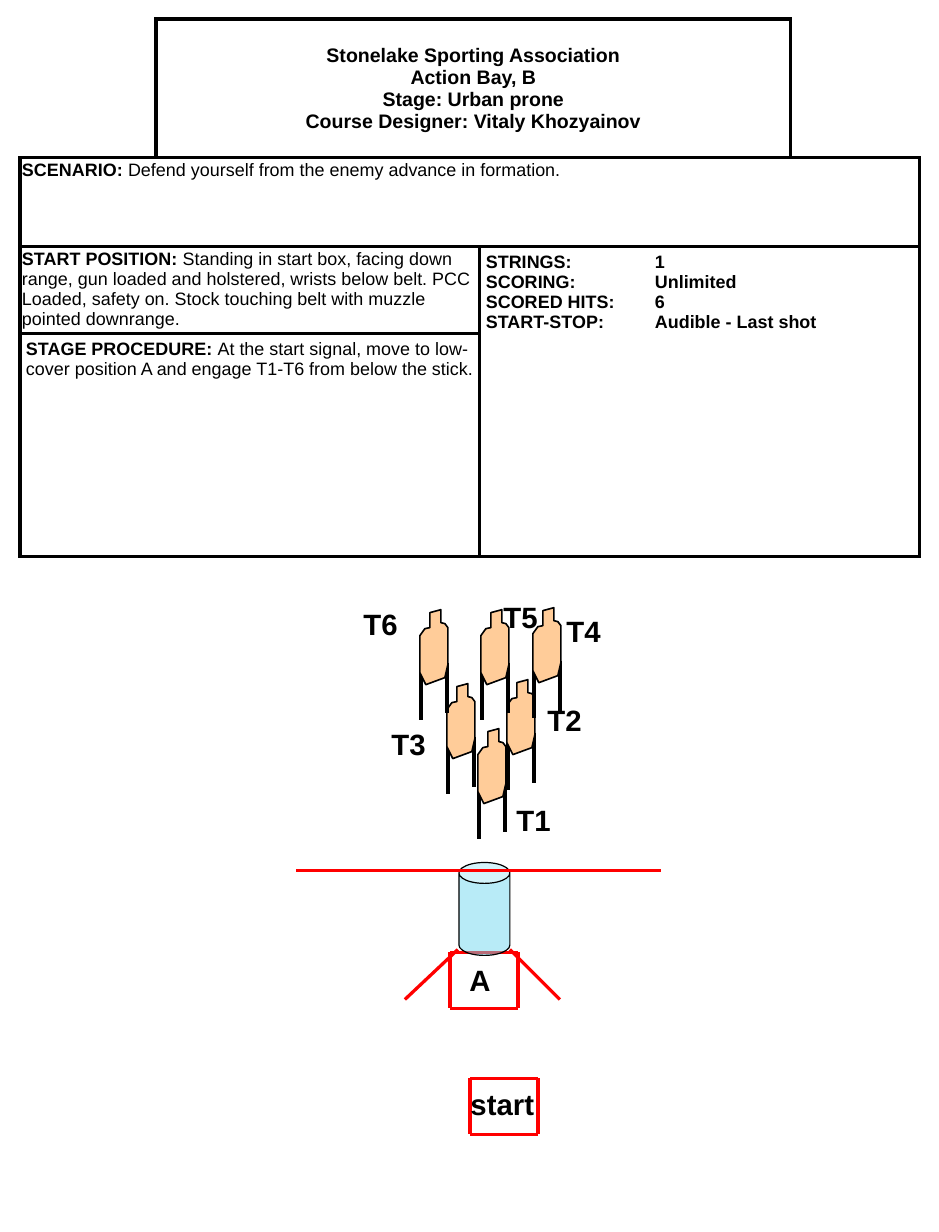
from lxml.etree import SubElement
from pptx import Presentation
from pptx.dml.color import RGBColor
from pptx.enum.shapes import MSO_CONNECTOR as Connector, MSO_SHAPE as Shape
from pptx.enum.text import MSO_ANCHOR as Anchor, PP_ALIGN as Align
from pptx.oxml.ns import qn
from pptx.util import Inches, Pt

PX = 7789  # EMU in one px
FONT = "Arial"
COLORS = {"ink": "000000", "paper": "FFFFFF", "fence": "FF0000",
          "target": "FFCC99", "barrel": "73D9F1"}

# Briefing table: (row, column, rows, columns), side inset, top inset, size, paragraphs
TABLE_AT = (20, 19)
COLUMNS = [136, 324, 311, 129]
ROWS = [139, 89, 87, 223]
HEADER = (0, 1, 1, 2)
CELLS = [
    (HEADER, 6, 6, 12, [[(
        "Stonelake Sporting Association\vAction Bay, B\v"
        "Stage: Urban prone\vCourse Designer: Vitaly Khozyainov", True)]]),
    ((1, 0, 1, 4), 2, 4, 11, [[
        ("SCENARIO: ", True),
        ("Defend yourself from the enemy advance in formation.", False)]]),
    ((2, 0, 1, 2), 2, 3, 11, [[
        ("START POSITION: ", True),
        ("Standing in start box, facing down range, gun loaded and holstered, "
         "wrists below belt. PCC Loaded, safety on. Stock touching belt with "
         "muzzle pointed downrange.", False)]]),
    ((2, 2, 2, 2), 6, 6, 11, [
        [("STRINGS:\t1", True)],
        [("SCORING:\tUnlimited", True)],
        [("SCORED HITS:\t6", True)],
        [("START-STOP:\tAudible - Last shot", True)]]),
    ((3, 0, 1, 2), 6, 6, 11, [[
        ("STAGE PROCEDURE: ", True),
        ("At the start signal, move to low-cover position A and engage T1-T6 "
         "from below the stick.", False)]]),
]
VALUE_TAB = 169

# Stage drawing
LABELS = [("T1", 505, 797), ("T2", 536, 697), ("T3", 380, 721),
          ("T4", 555, 608), ("T5", 492, 594), ("T6", 352, 601)]
TARGETS = [(447, 684), (478, 729), (507, 680), (533, 608), (481, 610), (420, 610)]
OUTLINE = [(10, 3), (21, 0), (21, 13), (25, 14), (28, 18), (28, 55), (25, 68),
           (6, 75), (0, 63), (0, 26), (5, 19), (10, 18)]
LEGS = [(1, 60), (27, 53)]
LEG_LENGTH = 50
# Shooting boxes: left, top, label, label left, label top, label width
BOXES = [(470, 1079, "start", 459, 1081, 101), (450, 953, "A", 458, 957, 48)]
BOX_WIDTH, BOX_HEIGHT = 68, 56
WINGS = [(458, 950, 405, 1000), (560, 1000, 510, 950)]
STICK = (661, 871, 296, 871)
BARREL = (459, 863, 51, 93)


def px(*lengths):
    return [length * PX for length in lengths]


def color(name):
    return RGBColor.from_string(COLORS[name])


def style_font(span, size, bold):
    span.font.name, span.font.size, span.font.bold = FONT, Pt(size), bold
    span.font.color.rgb = color("ink")


def paint(shape, fill, width):
    shape.shadow.inherit = False
    shape.fill.solid()
    shape.fill.fore_color.rgb = color(fill)
    shape.line.color.rgb = color("ink")
    shape.line.width = Pt(width)


def add_line(shapes, ends, name="fence", width=2):
    line = shapes.add_connector(Connector.STRAIGHT, *px(*ends))
    line.line.color.rgb = color(name)
    line.line.width = Pt(width)
    SubElement(line._element.spPr, qn("a:effectLst"))


def add_label(shapes, text, left, top, width=68):
    box = shapes.add_textbox(*px(left, top, width, 47))
    box.text_frame.word_wrap = True
    box.text_frame.text = text
    style_font(box.text_frame.paragraphs[0].runs[0], 18, True)


def add_border(cell, sides):
    """Rule the given sides (L, R, T, B, in that order); call before the fill is set."""
    for side in sides:
        edge = SubElement(cell._tc.get_or_add_tcPr(), qn(f"a:ln{side}"), w=str(Pt(2.25)))
        SubElement(SubElement(edge, qn("a:solidFill")), qn("a:srgbClr"), val=COLORS["ink"])


def border_cells(table):
    borders = {(0, 0): "RB", (0, 3): "LB"}
    for (row, column, height, width), *_ in CELLS:
        for r in range(row, row + height):
            for c in range(column, column + width):
                outer = {"L": c == column, "R": c == column + width - 1,
                         "T": r == row, "B": r == row + height - 1}
                borders[r, c] = "".join(side for side in outer if outer[side])
        borders[row, column] = "LRTB"
    for place, sides in borders.items():
        cell = table.cell(*place)
        add_border(cell, sides)
        cell.fill.solid()
        cell.fill.fore_color.rgb = color("paper")


def fill_cell(cell, size, paragraphs):
    for index, spans in enumerate(paragraphs):
        frame = cell.text_frame
        para = frame.add_paragraph() if index else frame.paragraphs[0]
        para.text = "".join(text for text, _ in spans[:1])
        for text, bold in spans[1:]:
            para.add_run().text = text
        if "\t" in para.text:
            tabs = SubElement(para._p.get_or_add_pPr(), qn("a:tabLst"))
            SubElement(tabs, qn("a:tab"), pos=str(VALUE_TAB * PX), algn="l")
        for span in para.runs:
            style_font(span, size, span is not None and (len(spans) == 1 or span.text == spans[0][0]))


def add_briefing(shapes):
    frame = shapes.add_table(len(ROWS), len(COLUMNS),
                             *px(*TABLE_AT, sum(COLUMNS), sum(ROWS)))
    table = frame.table
    table.first_row = table.horz_banding = False
    for column, width in zip(table.columns, COLUMNS):
        column.width = width * PX
    for row, height in zip(table.rows, ROWS):
        row.height = height * PX
    border_cells(table)
    for (row, column, height, width), side, top, size, paragraphs in CELLS:
        cell = table.cell(row, column)
        cell.merge(table.cell(row + height - 1, column + width - 1))
        cell.margin_left = cell.margin_right = side * PX
        cell.margin_top = cell.margin_bottom = top * PX
        fill_cell(cell, size, paragraphs)
    header = table.cell(*HEADER[:2])
    header.vertical_anchor = Anchor.MIDDLE
    header.text_frame.paragraphs[0].alignment = Align.CENTER
    table.cell(1, 0).text_frame.paragraphs[0].line_spacing = 0.9


def add_box(shapes, left, top, text, text_left, text_top, text_width):
    group = shapes.add_group_shape().shapes
    right, bottom = left + BOX_WIDTH, top + BOX_HEIGHT
    for ends in [(right, top, left, top), (right, top, right, bottom),
                 (left, top, left, bottom), (right, bottom, left, bottom)]:
        add_line(group, ends)
    add_label(group, text, text_left, text_top, text_width)


def add_target(shapes, left, top):
    group = shapes.add_group_shape().shapes
    for x, y in LEGS:
        add_line(group, (left + x, top + y, left + x, top + y + LEG_LENGTH), "ink", 2.25)
    builder = group.build_freeform(*OUTLINE[0], scale=PX)
    builder.add_line_segments(OUTLINE[1:], close=True)
    paint(builder.convert_to_shape(*px(left, top)), "target", 1)


def add_barrel(shapes):
    barrel = shapes.add_shape(Shape.CAN, *px(*BARREL))
    barrel.adjustments[0] = 0.41
    paint(barrel, "barrel", 0.75)
    tint = barrel._element.spPr.find(qn("a:solidFill")).find(qn("a:srgbClr"))
    SubElement(tint, qn("a:alpha"), val="50000")


def main():
    deck = Presentation()
    deck.slide_width, deck.slide_height = Inches(8), Inches(10.5)
    shapes = deck.slides.add_slide(deck.slide_layouts[6]).shapes
    add_briefing(shapes)
    for ends in WINGS:
        add_line(shapes, ends)
    for label in LABELS:
        add_label(shapes, *label)
    for box in BOXES:
        add_box(shapes, *box)
    for target in TARGETS:
        add_target(shapes, *target)
    add_barrel(shapes)
    add_line(shapes, STICK)
    deck.save("out.pptx")


if __name__ == "__main__":
    main()
